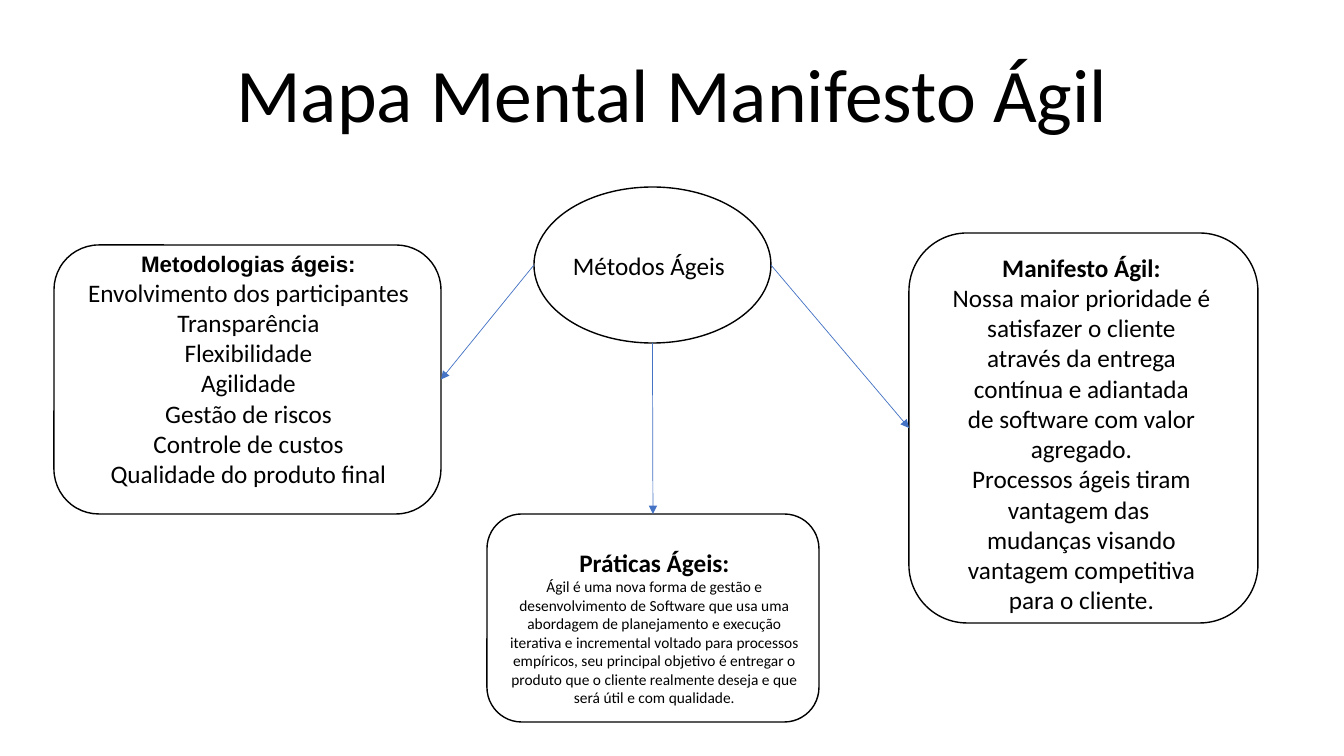
from lxml import etree
from pptx import Presentation
from pptx.dml.color import RGBColor
from pptx.enum.shapes import MSO_CONNECTOR, MSO_SHAPE
from pptx.enum.text import MSO_ANCHOR, MSO_AUTO_SIZE, PP_ALIGN
from pptx.oxml.ns import qn
from pptx.util import Pt

STRAIGHT = MSO_CONNECTOR.STRAIGHT
ELLIPSE, ROUNDED = MSO_SHAPE.OVAL, MSO_SHAPE.ROUNDED_RECTANGLE
BOTTOM, TOP = MSO_ANCHOR.BOTTOM, MSO_ANCHOR.TOP
FIXED, GROW = MSO_AUTO_SIZE.NONE, MSO_AUTO_SIZE.SHAPE_TO_FIT_TEXT
LEFT, CENTER = PP_ALIGN.LEFT, PP_ALIGN.CENTER
EMU_PER_PIXEL = 914400 / 100.8
BLACK, WHITE, BLUE = "000000", "FFFFFF", "4472C4"

HEADING = {"size": Pt(18), "name": "Calibri", "bold": True}
BODY = {**HEADING, "bold": False}

CENTRAL = (534, 187, 237, 156)
METHODOLOGIES = (54, 245, 387, 269)
MANIFESTO = (909, 233, 349, 390)
PRACTICES = (487, 514, 332, 208)

METHODOLOGY_LINES = [("Metodologias ágeis:", {**HEADING, "size": Pt(16), "name": "Arial"})] + [
    (quality, BODY) for quality in (
        "Envolvimento dos participantes", "Transparência", "Flexibilidade", "Agilidade",
        "Gestão de riscos", "Controle de custos", "Qualidade do produto final")]
MANIFESTO_LINES = [
    ("Manifesto Ágil:", HEADING),
    ("Nossa maior prioridade é satisfazer o cliente\vatravés da entrega contínua e adiantada\v"
     "de software com valor agregado.", BODY),
    ("Processos ágeis tiram vantagem das\u00a0\vmudanças visando vantagem competitiva "
     "para o cliente.", BODY)]
PRACTICE_LINES = [
    ("Práticas Ágeis:", HEADING),
    ("Ágil\u00a0é uma nova forma de gestão e desenvolvimento de Software que usa uma abordagem "
     "de planejamento e execução iterativa e incremental voltado para processos empíricos, "
     "seu principal objetivo é entregar o produto que o cliente realmente deseja e que será "
     "útil e com qualidade.", {**BODY, "size": Pt(11)})]


def px(*lengths):
    """Turn pixel lengths into EMU."""
    return [round(length * EMU_PER_PIXEL) for length in lengths]


def color(hex_value):
    """Turn a hex string into a colour."""
    return RGBColor.from_string(hex_value)


def apply(target, formats):
    """Set every attribute in formats on target."""
    for attribute, value in formats.items():
        setattr(target, attribute, value)


def write(frame, lines, align, frame_formats, spacing=1.0):
    """Fill a text frame with formatted paragraphs."""
    apply(frame, {"word_wrap": True, **frame_formats})
    for index, (words, font_formats) in enumerate(lines):
        paragraph = frame.add_paragraph() if index else frame.paragraphs[0]
        paragraph.text = words
        apply(paragraph, {"alignment": align, "line_spacing": spacing})
        for run in paragraph.runs:
            apply(run.font, font_formats)
            run.font.color.rgb = color(BLACK)


def add_title(slide, box):
    """Place the title and drop the unused subtitle."""
    title, subtitle = slide.placeholders
    subtitle.element.getparent().remove(subtitle.element)
    apply(title, dict(zip(("left", "top", "width", "height"), px(*box))))
    write(title.text_frame, [("Mapa Mental Manifesto Ágil", {**BODY, "size": Pt(54)})], CENTER,
          {"vertical_anchor": BOTTOM, "auto_size": FIXED}, 0.9)


def add_topic(slide, outline, box, label_inset, lines, align=CENTER):
    """Draw an outlined topic with its label inset as left, top, width, height."""
    left, top, width, height = box
    topic = slide.shapes.add_shape(outline, *px(left, top, width, height))
    topic.shadow.inherit = False
    topic.fill.solid()
    topic.fill.fore_color.rgb = color(WHITE)
    topic.line.color.rgb = color(BLACK)
    topic.line.width = Pt(1)
    across, down, label_width, label_height = label_inset
    label = slide.shapes.add_textbox(*px(left + across, top + down, label_width, label_height))
    write(label.text_frame, lines, align, {"vertical_anchor": TOP, "auto_size": GROW})


def side(box, across, down):
    """Find the point at the given fractions of a box."""
    left, top, width, height = box
    return left + width * across, top + height * down


def add_arrow(slide, start, end):
    """Draw a thin arrow between two points."""
    arrow = slide.shapes.add_connector(STRAIGHT, *px(*start, *end))
    arrow.line.color.rgb = color(BLUE)
    arrow.line.width = Pt(0.5)
    etree.SubElement(arrow.line._get_or_add_ln(), qn("a:tailEnd"), type="triangle")
    etree.SubElement(arrow.element.spPr, qn("a:effectLst"))


def add_mind_map(slide):
    """Draw the central topic, its branches and the arrows between them."""
    add_topic(slide, ROUNDED, METHODOLOGIES, (17, 0, 355, 251), METHODOLOGY_LINES)
    add_topic(slide, ELLIPSE, CENTRAL, (29, 58, 179, 40), [("Métodos Ágeis", BODY)], LEFT)
    add_topic(slide, ROUNDED, MANIFESTO, (30, 14, 285, 377), MANIFESTO_LINES)
    add_topic(slide, ROUNDED, PRACTICES, (13, 28, 309, 171), PRACTICE_LINES)
    add_arrow(slide, side(CENTRAL, 0, 0.5), side(METHODOLOGIES, 1, 0.5))
    add_arrow(slide, side(CENTRAL, 0.5, 1), side(PRACTICES, 0.5, 0))
    add_arrow(slide, side(CENTRAL, 1, 0.5), side(MANIFESTO, 0, 0.5))


def main():
    """Build and save the slide."""
    deck = Presentation()
    deck.slide_width, deck.slide_height = px(1344, 756)
    slide = deck.slides.add_slide(deck.slide_layouts[0])
    add_title(slide, (168, 45, 1008, 99))
    add_mind_map(slide)
    deck.save("out.pptx")


main()
